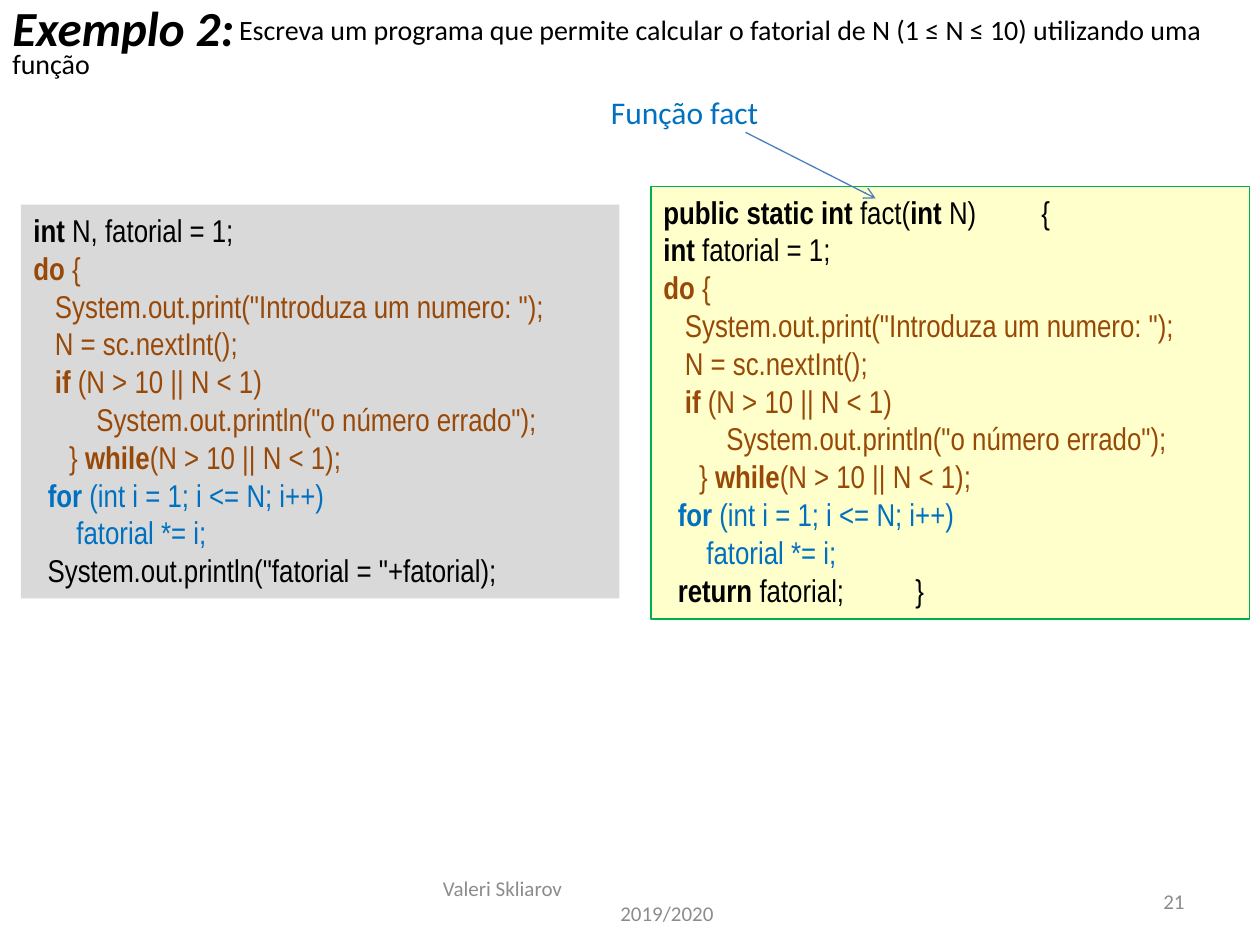
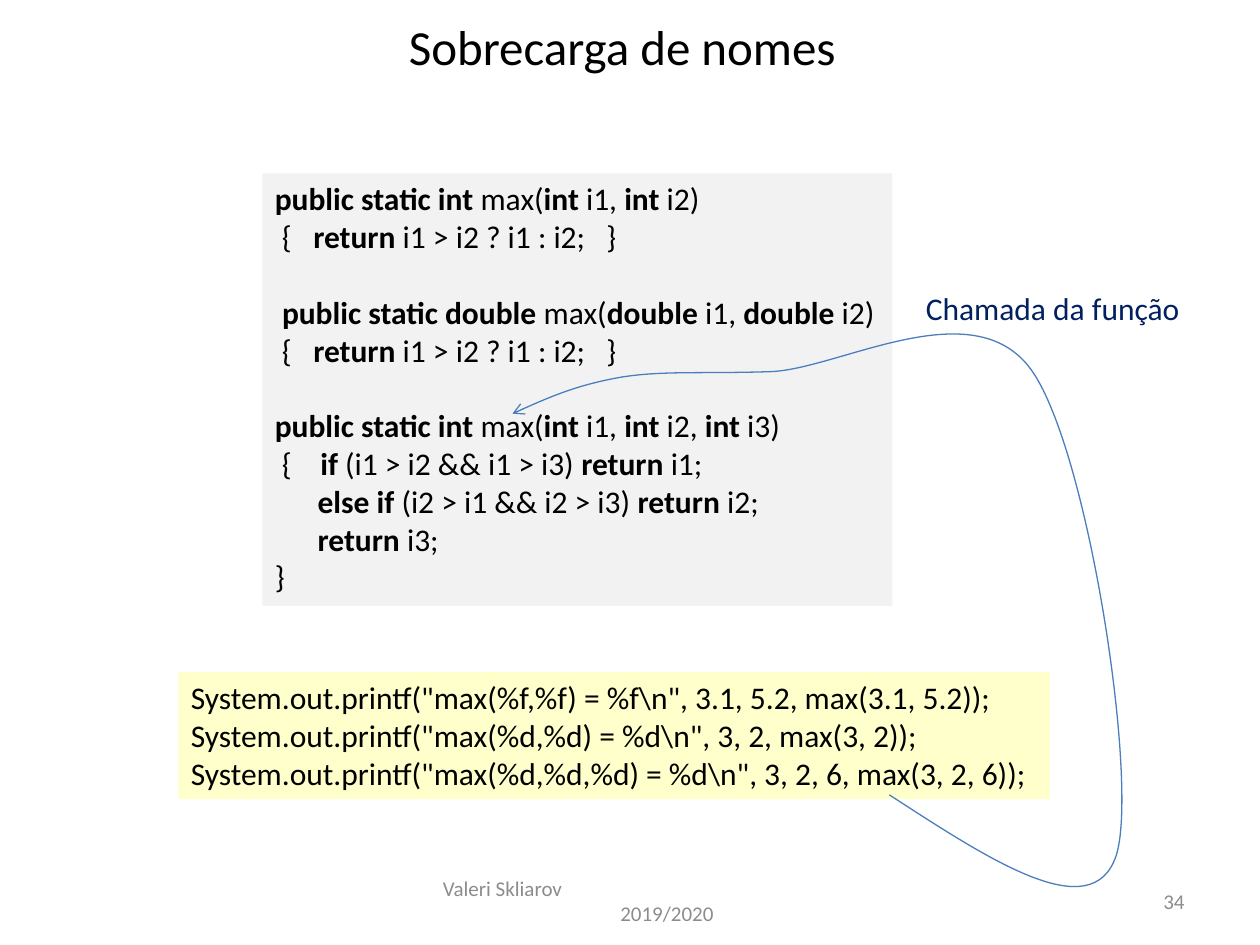
from dataclasses import dataclass

from pptx import Presentation
from pptx import util as u
from pptx.dml.color import RGBColor
from pptx.enum import shapes, text
from pptx.oxml.ns import qn
from lxml import etree

COLS, ROWS = 120, 90
CELL = u.Inches(10) / COLS


@dataclass(frozen=True)
class Theme:
    font: str = "Calibri"
    narrow: str = "Arial Narrow"
    black: str = "000000"
    muted: str = "8C8C8C"
    brown: str = "984807"
    blue: str = "0070C0"
    navy: str = "002060"
    arrow: str = "4B7EBC"
    green: str = "00B050"
    grey: str = "D9D9D9"
    pale: str = "F2F2F2"
    cream: str = "FFFFCC"
    title: int = 28
    body: int = 18
    task: int = 16
    footer: int = 12
    code_line: float = 21.6
    thin: float = 0.75


T = Theme()

INPUT_LOOP = [
    ("**do** {", T.brown),
    ('   System.out.print("Introduza um numero: ");', T.brown),
    ("   N = sc.nextInt();", T.brown),
    ("   **if** (N > 10 || N < 1)", T.brown),
    ('\tSystem.out.println("o número errado");', T.brown),
    ("     } **while**(N > 10 || N < 1);", T.brown),
    ("  **for** (int i = 1; i <= N; i++)", T.blue),
    ("      fatorial *= i;", T.blue),
]
INLINE_CODE = [
    ("**int** N, fatorial = 1;", T.black),
    *INPUT_LOOP,
    ('  System.out.println("fatorial = "+fatorial);', T.black),
]
FACT_CODE = [
    ("**public static int** fact(**int** N) \t{", T.black),
    ("**int** fatorial = 1;", T.black),
    *INPUT_LOOP,
    ("  **return** fatorial;\t\t}", T.black),
]
MAX_CODE = [(line, T.black) for line in (
    "**public static int** max(**int** i1, **int** i2)",
    " {   **return** i1 > i2 ? i1 : i2;   }",
    "",
    " **public static double** max(**double** i1, **double** i2)",
    " {   **return** i1 > i2 ? i1 : i2;   }",
    "",
    "**public static int** max(**int** i1, **int** i2, **int** i3)",
    " {    **if** (i1 > i2 && i1 > i3) **return** i1;",
    "      **else if** (i2 > i1 && i2 > i3) **return** i2;",
    "      **return** i3;",
    "}",
)]
CALL_CODE = [(line, T.black) for line in (
    r'System.out.printf("max(%f,%f) = %f\n", 3.1, 5.2, max(3.1, 5.2));',
    r'System.out.printf("max(%d,%d) = %d\n", 3, 2, max(3, 2));',
    r'System.out.printf("max(%d,%d,%d) = %d\n", 3, 2, 6, max(3, 2, 6));',
)]
CALL_CURVE = [
    (84.7, 75.7),
    (94.4, 82), (104, 88.3), (106.3, 81.5),
    (108.5, 74.8), (103.7, 42.8), (98.2, 35.2),
    (92.6, 27.5), (79.7, 35.3), (73.2, 35.4),
    (66.7, 35.6), (63.2, 35.3), (59.3, 35.9),
    (55.2, 36.6), (52.1, 37.9), (48.8, 39.4),
]


def grid(*cells):
    return [u.Emu(round(c * CELL)) for c in cells]


def style(font, size, colour, name=T.font, bold=False, italic=False):
    font.size, font.name = u.Pt(size), name
    font.bold, font.italic = bold, italic
    font.color.rgb = RGBColor.from_string(colour)


def add_box(s, cells, wrap, grow=True):
    sp = s.shapes.add_textbox(*grid(*cells))
    tf = sp.text_frame
    tf.word_wrap = wrap
    if grow:
        tf.auto_size = text.MSO_AUTO_SIZE.SHAPE_TO_FIT_TEXT
    return sp


def add_label(s, cells, words, size, colour=T.black, align=text.PP_ALIGN.LEFT,
              wrap=False, grow=True, middle=False, hang=0, first=0, **emphasis):
    """Add one paragraph; hang and first indent its later and first lines."""
    tf = add_box(s, cells, wrap, grow).text_frame
    if middle:
        tf.vertical_anchor = text.MSO_ANCHOR.MIDDLE
    tf.text = words.replace("\n", "\v")
    p = tf.paragraphs[0]
    p.alignment = align
    if hang or first:
        margin, indent = grid(hang, first - hang)
        pPr = p._p.get_or_add_pPr()
        pPr.set("marL", str(margin))
        pPr.set("indent", str(indent))
    for r in p.runs:
        style(r.font, size, colour, **emphasis)


def add_code(s, cells, lines, fill, font=T.font, border=None):
    """Add a code panel; ** toggles bold and an empty line becomes a gap."""
    sp = add_box(s, cells, wrap=False)
    sp.fill.solid()
    sp.fill.fore_color.rgb = RGBColor.from_string(fill)
    if border:
        set_line(sp, border)
    tf = sp.text_frame
    p, gap = tf.paragraphs[0], 0
    for i, (line, colour) in enumerate(lines):
        if not line:
            gap += T.code_line
            continue
        if i:
            p = tf.add_paragraph()
        if gap:
            p.space_before, gap = u.Pt(gap), 0
        for n, part in enumerate(line.split("**")):
            if part:
                r = p.add_run()
                r.text = part
                style(r.font, T.body, colour, font, bold=n % 2 == 1)


def set_line(sp, colour, arrow=False):
    sp.line.color.rgb = RGBColor.from_string(colour)
    sp.line.width = u.Pt(T.thin)
    if arrow:
        ln = sp.line._get_or_add_ln()
        etree.SubElement(ln, qn("a:tailEnd"), type="arrow")


def add_arrow(s, start, end):
    sp = s.shapes.add_connector(shapes.MSO_CONNECTOR.STRAIGHT,
                                *grid(*start, *end))
    set_line(sp, T.arrow, arrow=True)
    etree.SubElement(sp._element.spPr, qn("a:effectLst"))


def add_curved_arrow(s, points):
    """Draw cubic curves through a start and triples of control points."""
    start, *rest = [grid(*point) for point in points]
    builder = s.shapes.build_freeform(*start)
    builder.add_line_segments(rest, close=False)
    sp = builder.convert_to_shape()
    sp.shadow.inherit = False
    sp.fill.background()
    set_line(sp, T.arrow, arrow=True)
    segments = list(sp._element.iter(qn("a:lnTo")))
    for i in range(0, len(segments), 3):
        outline = segments[i].getparent()
        curve = etree.SubElement(outline, qn("a:cubicBezTo"))
        for segment in segments[i:i + 3]:
            curve.append(segment[0])
            outline.remove(segment)


def add_slide(prs, number):
    s = prs.slides.add_slide(prs.slide_layouts[6])
    add_label(s, (41, 83.4, 38, 4.8), "Valeri Skliarov\n2019/2020", T.footer,
              T.muted, wrap=True, grow=False, middle=True, hang=16.9)
    add_label(s, (86, 83.4, 28, 4.8), str(number), T.footer, T.muted,
              text.PP_ALIGN.RIGHT, wrap=True, grow=False, middle=True)
    return s


def factorial_slide(prs):
    s = add_slide(prs, 21)
    add_label(s, (0, -0.8, 23.8, 6.8), "Exemplo 2:", T.title,
              bold=True, italic=True)
    add_label(s, (0, 0.6, COLS, 7.7),
              "Escreva um programa que permite calcular o fatorial de N "
              "(1 ≤ N ≤ 10) utilizando uma função",
              T.task, wrap=True, first=21.6)
    add_code(s, (2, 19.5, 57, 37.5), INLINE_CODE, T.grey, T.narrow)
    add_code(s, (62, 17.75, 57, 41.2), FACT_CODE, T.cream, T.narrow, T.green)
    add_label(s, (57, 8.25, 16.7, 4.8), "Função fact", T.body, T.blue)
    add_arrow(s, (71, 12.6), (83.4, 18.9))


def overload_slide(prs):
    s = add_slide(prs, 34)
    add_code(s, (25, 16.5, 60, 41.2), MAX_CODE, T.pale)
    add_label(s, (13, 1, 92.5, 7.3), "Sobrecarga de nomes", T.title,
              align=text.PP_ALIGN.CENTER, wrap=True, grow=False)
    add_code(s, (17, 64, 83, 12.1), CALL_CODE, T.cream)
    add_curved_arrow(s, CALL_CURVE)
    add_label(s, (87, 26.9, 27.6, 4.8), "Chamada da função", T.body, T.navy)


def main():
    prs = Presentation()
    prs.slide_width, prs.slide_height = grid(COLS, ROWS)
    factorial_slide(prs)
    overload_slide(prs)
    prs.save("out.pptx")


if __name__ == "__main__":
    main()
